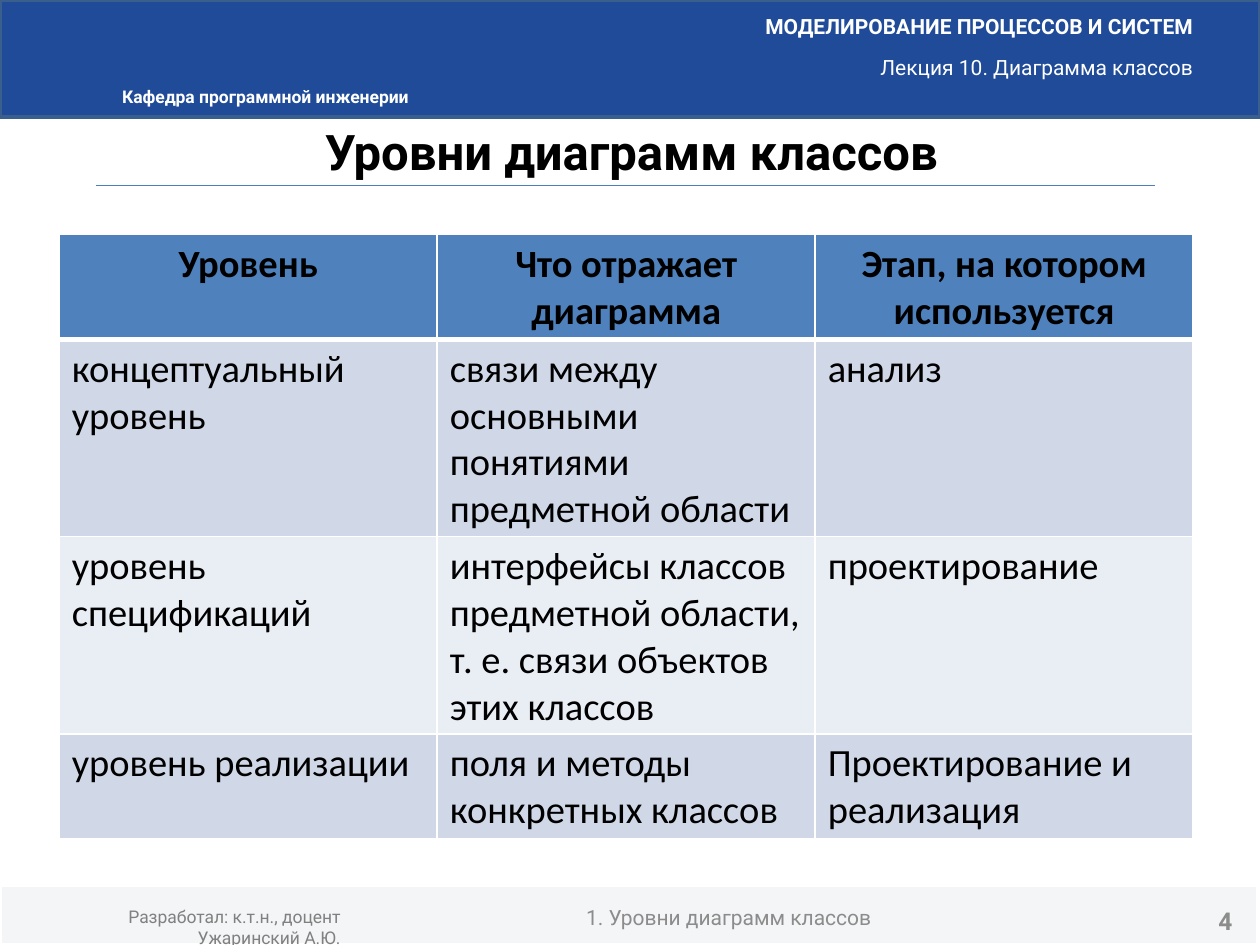
from dataclasses import dataclass

import pptx
import pptx.dml.color
import pptx.enum.shapes
import pptx.enum.text
import pptx.oxml
import pptx.oxml.ns
import pptx.util
from pptx.util import Inches


@dataclass(frozen=True)
class Theme:
    heading_font: str = "Roboto"
    table_font: str = "Calibri"
    white: str = "FFFFFF"
    black: str = "000000"
    band: str = "1F4B99"
    band_line: str = "3A5F8C"
    footer: str = "F3F5F7"
    author: str = "808080"
    muted: str = "8C8C8C"
    rule: str = "4B7EBC"
    header_fill: str = "4F81BD"
    odd_fill: str = "D0D8E8"
    even_fill: str = "E9EDF4"
    title_size: int = 28
    table_size: int = 22
    number_size: int = 14
    text_size: int = 12
    small_size: int = 10


theme = Theme()
rgb = pptx.dml.color.RGBColor.from_string
align = pptx.enum.text.PP_ALIGN
middle = pptx.enum.text.MSO_ANCHOR.MIDDLE
top = pptx.enum.text.MSO_ANCHOR.TOP


def write(frame, text, size, color, bold=False, alignment=align.LEFT, font=theme.heading_font):
    """Fill the first paragraph of a text frame with one formatted run."""
    frame.word_wrap = True
    para = frame.paragraphs[0]
    para.alignment = alignment
    span = para.add_run()
    span.text = text
    span.font.name = font
    span.font.size = pptx.util.Pt(size)
    span.font.bold = bold
    span.font.color.rgb = rgb(color)


def set_borders(cell, bottom_width):
    """Draw white cell borders; must run before the cell gets its fill."""
    properties = cell._tc.get_or_add_tcPr()
    for side, points in (("L", 1), ("R", 1), ("T", 1), ("B", bottom_width)):
        properties.append(pptx.oxml.parse_xml(
            f'<a:ln{side} {pptx.oxml.ns.nsdecls("a")} w="{pptx.util.Pt(points)}">'
            f'<a:solidFill><a:srgbClr val="{theme.white}"/></a:solidFill></a:ln{side}>'))


deck = pptx.Presentation()
deck.slide_width = Inches(10)
deck.slide_height = Inches(7.5)
page = deck.slides.add_slide(deck.slide_layouts[5])

# Header and footer bands
for left, y, width, height, fill, line in (
    (0, 0, 10, 0.93, theme.band, theme.band_line),
    (0, 7.03, 9.98, 0.47, theme.footer, theme.white),
):
    band = page.shapes.add_shape(
        pptx.enum.shapes.MSO_SHAPE.RECTANGLE,
        Inches(left), Inches(y), Inches(width), Inches(height))
    band.shadow.inherit = False
    band.fill.solid()
    band.fill.fore_color.rgb = rgb(fill)
    band.line.color.rgb = rgb(line)
    band.line.width = pptx.util.Pt(2)

# Course, lecture, author and page labels
for left, y, width, height, text, size, color, bold, alignment, anchor in (
    (0.87, 0.63, 3.39, 0.27, "Кафедра программной инженерии",
     theme.small_size, theme.white, True, align.LEFT, top),
    (5, 0.06, 4.57, 0.3, "МОДЕЛИРОВАНИЕ ПРОЦЕССОВ И СИСТЕМ",
     theme.text_size, theme.white, True, align.RIGHT, top),
    (4.85, 0.38, 4.72, 0.3, "Лекция 10. Диаграмма классов",
     theme.text_size, theme.white, False, align.RIGHT, top),
    (0.12, 7.14, 2.68, 0.27, "Разработал: к.т.н., доцент Ужаринский А.Ю.",
     theme.small_size, theme.author, False, align.RIGHT, top),
    (3.11, 7.06, 5.35, 0.44, "1. Уровни диаграмм классов",
     theme.text_size, theme.muted, False, align.CENTER, middle),
    (9.16, 7.11, 0.72, 0.4, "4",
     theme.number_size, theme.muted, True, align.RIGHT, middle),
):
    box = page.shapes.add_textbox(Inches(left), Inches(y), Inches(width), Inches(height))
    box.text_frame.vertical_anchor = anchor
    write(box.text_frame, text, size, color, bold, alignment)

# Table of diagram levels
levels = (
    ("Уровень", "Что отражает диаграмма", "Этап, на котором используется"),
    ("концептуальный уровень", "связи между основными понятиями предметной области", "анализ"),
    ("уровень спецификаций",
     "интерфейсы классов предметной области, т. е. связи объектов этих классов",
     "проектирование"),
    ("уровень реализации", "поля и методы конкретных классов", "Проектирование и реализация"),
)
row_heights = (0.83, 1.56, 1.56, 0.83)
table = page.shapes.add_table(
    len(levels), len(levels[0]),
    Inches(0.47), Inches(1.86), Inches(9), Inches(sum(row_heights))).table
for row_index, texts in enumerate(levels):
    table.rows[row_index].height = Inches(row_heights[row_index])
    is_header = row_index == 0
    if is_header:
        fill = theme.header_fill
    else:
        fill = theme.odd_fill if row_index % 2 else theme.even_fill
    for column_index, text in enumerate(texts):
        cell = table.cell(row_index, column_index)
        set_borders(cell, 3 if is_header else 1)
        cell.fill.solid()
        cell.fill.fore_color.rgb = rgb(fill)
        write(cell.text_frame, text, theme.table_size, theme.black, is_header,
              align.CENTER if is_header else align.LEFT, theme.table_font)

# Title and the rule under it
title = page.shapes.title
title.left, title.top = Inches(0.51), Inches(0.84)
title.width, title.height = Inches(9), Inches(0.71)
title.text_frame.auto_size = pptx.enum.text.MSO_AUTO_SIZE.NONE
title.text_frame.vertical_anchor = middle
write(title.text_frame, "Уровни диаграмм классов", theme.title_size, theme.black, True, align.CENTER)
title.element.getparent().append(title.element)

rule = page.shapes.add_connector(
    pptx.enum.shapes.MSO_CONNECTOR.STRAIGHT,
    Inches(0.76), Inches(1.47), Inches(9.17), Inches(1.47))
rule.line.color.rgb = rgb(theme.rule)
rule.line.width = pptx.util.Pt(0.75)
rule.element.spPr.append(pptx.oxml.parse_xml(f'<a:effectLst {pptx.oxml.ns.nsdecls("a")}/>'))

deck.save("out.pptx")
